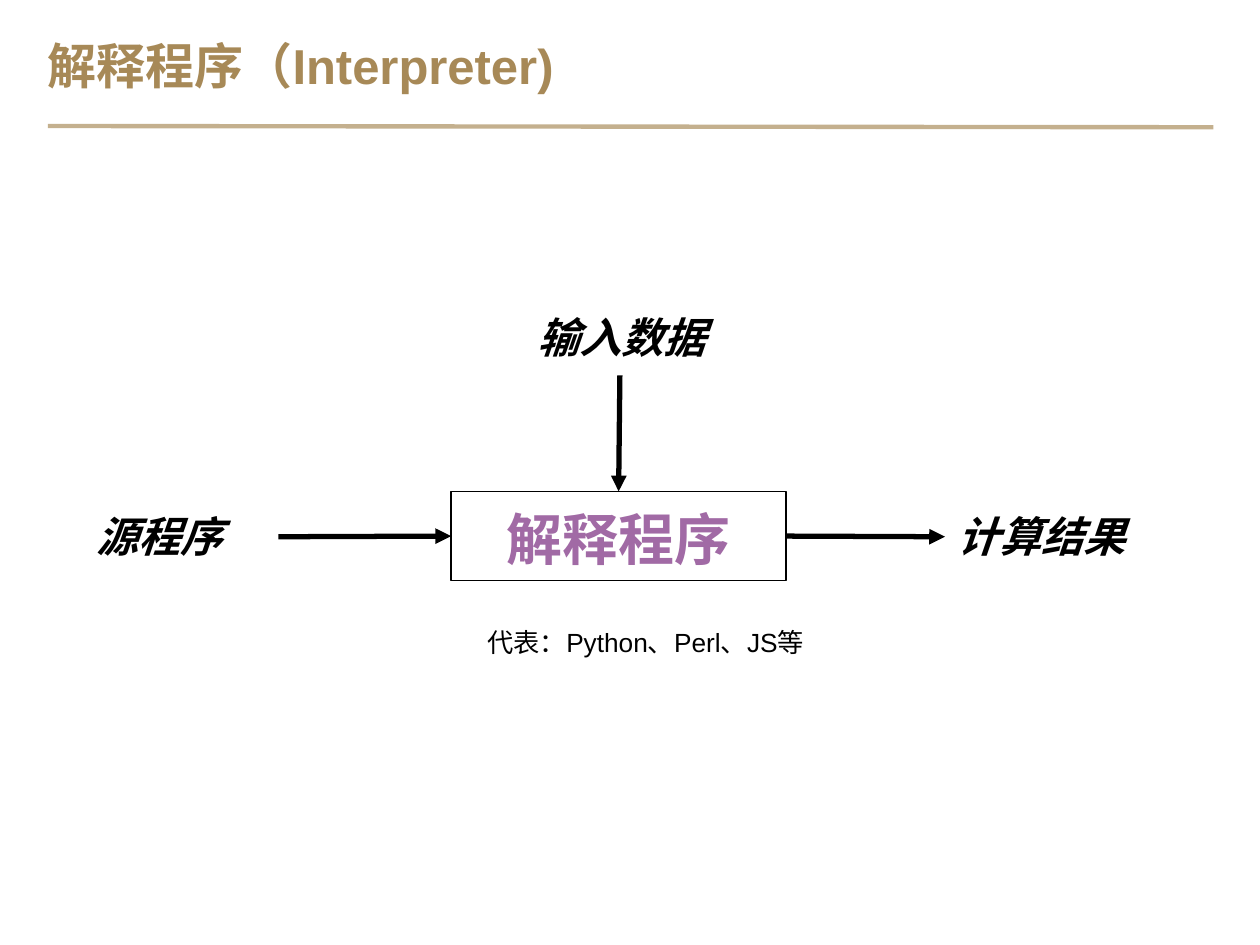
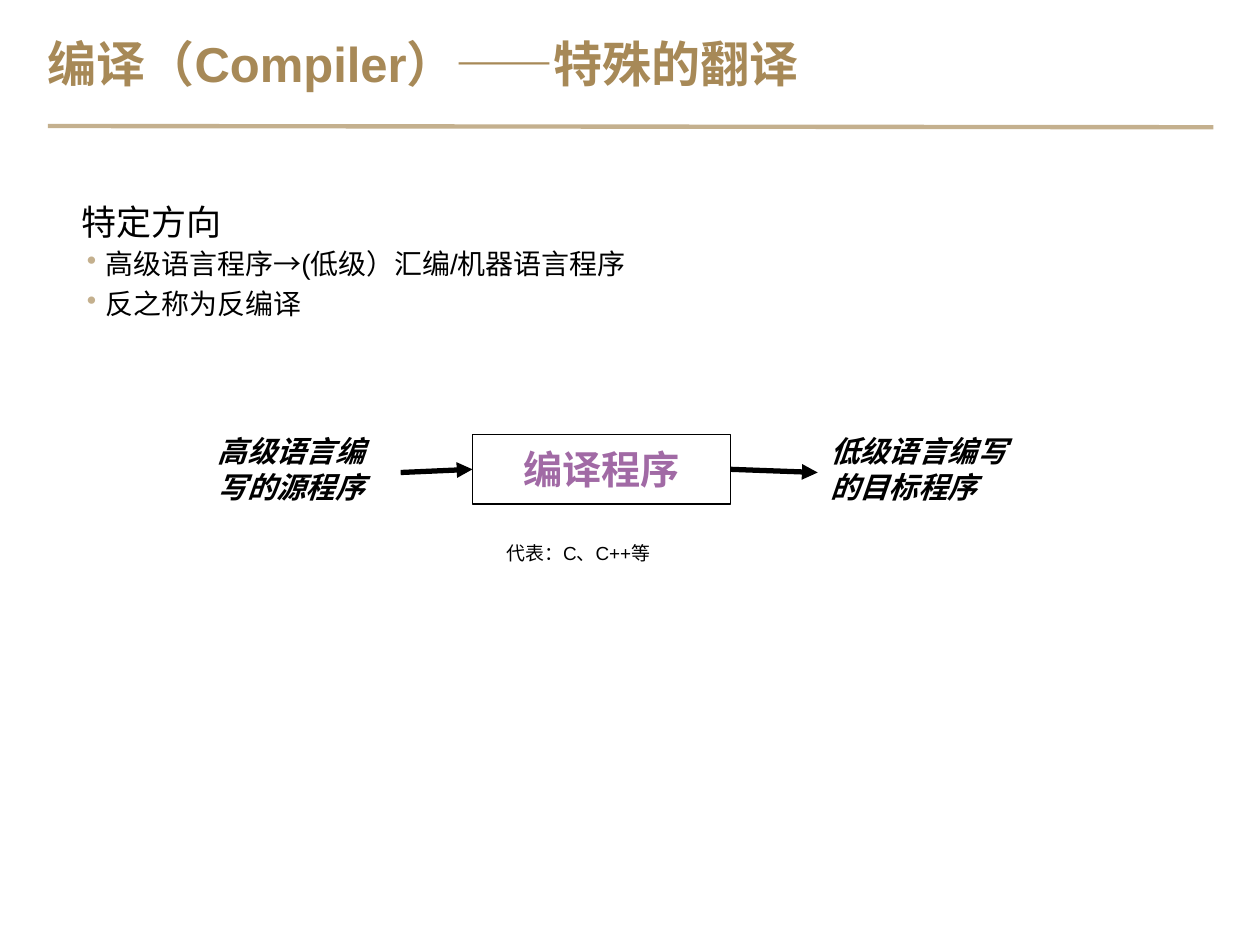
import lxml.etree
import pptx
import pptx.dml.color
import pptx.enum.shapes
import pptx.enum.text
import pptx.oxml.ns
import pptx.util

Inches = pptx.util.Inches
Pt = pptx.util.Pt
Align = pptx.enum.text.PP_ALIGN
Anchor = pptx.enum.text.MSO_ANCHOR
qn = pptx.oxml.ns.qn

FONT = "Arial"
BLACK, GOLD, SAND, PURPLE = "000000", "A78957", "C4B08E", "A16AA5"
TOP, LEFT, RIGHT = 0, 1, 3


def color(hex_text):
    """Turn a hex string into a colour."""
    return pptx.dml.color.RGBColor.from_string(hex_text)


def add_element(parent, tag, **attributes):
    """Append an XML element with attributes and return it."""
    element = lxml.etree.SubElement(parent, qn(tag))
    for name, value in attributes.items():
        element.set(name, str(value))
    return element


def write(para, text, size=16, ink=BLACK, bold=False, italic=False,
          align=None, spacing=None, before=None, after=None, margin=0, bullet=None):
    """Write one formatted paragraph."""
    if align is not None:
        para.alignment = align
    if spacing is not None:
        para.line_spacing = spacing
    if before is not None:
        para.space_before = Pt(before)
    if after is not None:
        para.space_after = Pt(after)
    if margin:
        para_format = para._p.get_or_add_pPr()
        para_format.set("marL", str(Inches(margin)))
        if bullet:
            para_format.set("indent", str(Inches(-0.15)))
            tint = add_element(para_format, "a:buClr")
            add_element(tint, "a:srgbClr", val=SAND)
            add_element(para_format, "a:buChar", char=bullet)
    span = para.add_run()
    span.text = text
    span.font.name = FONT
    span.font.size = Pt(size)
    span.font.bold = bold
    span.font.italic = italic
    span.font.color.rgb = color(ink)


def write_lines(frame, lines, inset=(0.1, 0.05), anchor=Anchor.TOP, **style):
    """Fill a text frame with paragraphs, each a text or a (text, format) pair."""
    frame.word_wrap = True
    frame.vertical_anchor = anchor
    frame.margin_left = frame.margin_right = Inches(inset[0])
    frame.margin_top = frame.margin_bottom = Inches(inset[1])
    for index, line in enumerate(lines):
        text, extra = (line, {}) if isinstance(line, str) else line
        para = frame.add_paragraph() if index else frame.paragraphs[0]
        write(para, text, **{**style, **extra})


class Lecture:
    """Hold the deck, its style and the current page."""

    def __init__(self):
        """Open an empty deck of 10 by 7.5 inches."""
        self.deck = pptx.Presentation()
        self.deck.slide_width = Inches(10)
        self.deck.slide_height = Inches(7.5)
        self.page = None

    def start_page(self, title, anchor):
        """Add a page with its title and the rule below it."""
        self.page = self.deck.slides.add_slide(self.deck.slide_layouts[6])
        self.text((0.38, 0.25, 9.25, 0.5), title, inset=(0, 0), anchor=anchor,
                  size=28, ink=GOLD, bold=True)
        self.line((0.38, 1), (9.63, 1.01), ink=SAND, width=2.5)

    def text(self, place, *lines, **style):
        """Add a text box."""
        box = self.page.shapes.add_textbox(*map(Inches, place))
        write_lines(box.text_frame, lines, **style)

    def label(self, place, *lines, size):
        """Add a bold italic label for an input or output."""
        self.text(place, *lines, size=size, bold=True, italic=True)

    def program(self, place, name, size):
        """Add the outlined box of a translating program."""
        box = self.page.shapes.add_shape(
            pptx.enum.shapes.MSO_SHAPE.RECTANGLE, *map(Inches, place))
        box.shadow.inherit = False
        box.fill.background()
        box.line.color.rgb = color(BLACK)
        box.line.width = Pt(0.75)
        write_lines(box.text_frame, [name], size=size, ink=PURPLE, bold=True,
                    align=Align.CENTER, spacing=1.1)
        return box

    def line(self, start, end, ink=BLACK, width=3):
        """Add a straight line."""
        line = self.page.shapes.add_connector(
            pptx.enum.shapes.MSO_CONNECTOR.STRAIGHT, *map(Inches, start + end))
        line.line.color.rgb = color(ink)
        line.line.width = Pt(width)
        add_element(line._element.spPr, "a:effectLst")
        return line

    def arrow(self, box, side, point, outward=False):
        """Join a point and a side of a box with an arrow."""
        arrow = self.line(point, point)
        if outward:
            arrow.begin_connect(box, side)
        else:
            arrow.end_connect(box, side)
        add_element(arrow.line._get_or_add_ln(), "a:tailEnd", type="triangle")


def interpreter_page(lecture):
    """Show what an interpreter reads and yields."""
    lecture.start_page("解释程序（Interpreter)", Anchor.BOTTOM)
    lecture.text((0.5, 4.92, 9.25, 0.38), "代表：Python、Perl、JS等",
                 inset=(0, 0), size=15, align=Align.CENTER, spacing=1.2)
    lecture.label((0.67, 4, 1.54, 0.52), "源程序", size=24)
    lecture.label((4.17, 2.42, 1.72, 0.52), "输入数据", size=24)
    lecture.label((7.5, 4, 1.9, 0.52), "计算结果", size=24)
    interpreter = lecture.program((3.58, 3.9, 2.66, 0.71), "解释程序", 32)
    lecture.arrow(interpreter, LEFT, (2.21, 4.26))
    lecture.arrow(interpreter, TOP, (4.92, 2.98))
    lecture.arrow(interpreter, RIGHT, (7.5, 4.26), outward=True)


def compiler_page(lecture):
    """Show compiling as a translation in one direction."""
    lecture.start_page("编译（Compiler）——特殊的翻译", Anchor.MIDDLE)
    point = {"before": 2, "after": 4, "margin": 0.29, "bullet": "•"}
    lecture.text((0.5, 1.58, 6.43, 1.13),
                 ("特定方向", {"size": 20, "after": 2, "margin": 0.1}),
                 ("高级语言程序→(低级）汇编/机器语言程序", point),
                 ("反之称为反编译", point),
                 inset=(0.05, 0.05), spacing=0.9)
    lecture.label((1.63, 3.39, 1.54, 0.72), "高级语言编", "写的源程序", size=16.8)
    lecture.label((6.49, 3.39, 2.19, 0.72), "低级语言编写", "的目标程序", size=16.8)
    compiler = lecture.program((3.75, 3.45, 2.05, 0.55), "编译程序", 22.4)
    lecture.arrow(compiler, LEFT, (3.18, 3.75))
    lecture.arrow(compiler, RIGHT, (6.49, 3.75), outward=True)
    lecture.text((3.92, 4.25, 1.71, 0.32), "代表：C、C++等", size=10.8)


def main():
    """Build and save the deck."""
    lecture = Lecture()
    interpreter_page(lecture)
    compiler_page(lecture)
    lecture.deck.save("out.pptx")


if __name__ == "__main__":
    main()
